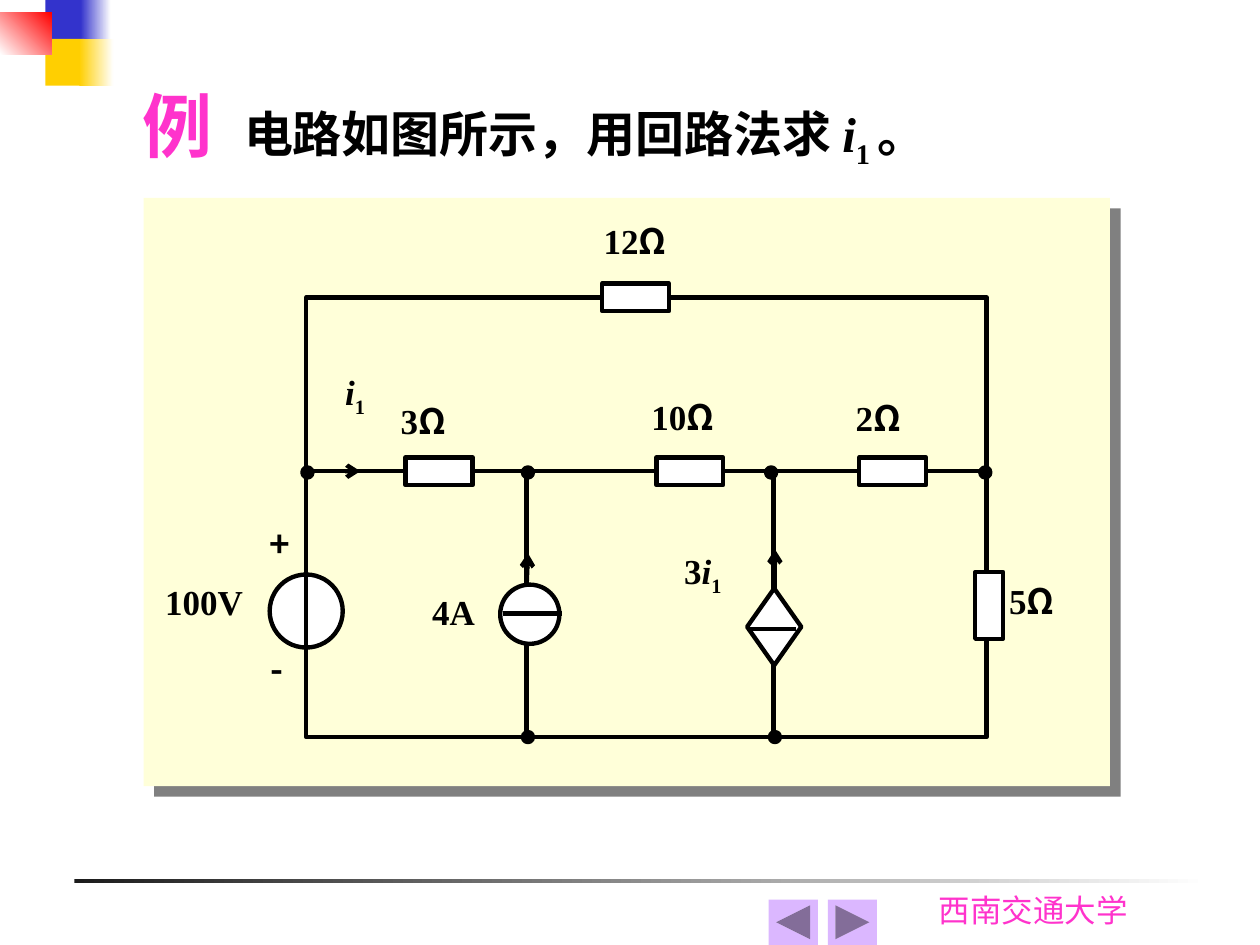
from dataclasses import dataclass
from lxml.etree import SubElement
from pptx import Presentation
from pptx.dml.color import RGBColor
from pptx.enum.shapes import MSO_CONNECTOR, MSO_SHAPE
from pptx.enum.text import MSO_ANCHOR, MSO_AUTO_SIZE, PP_ALIGN
from pptx.oxml.ns import qn
from pptx.util import Inches, Pt


@dataclass(frozen=True)
class Theme:
    ink: str = "000000"
    paper: str = "FFFFFF"
    pink: str = "FF33CC"
    panel: str = "FFFFD9"
    shade: str = "808080"
    blue: str = "3333CC"
    yellow: str = "FFCF01"
    red: str = "FF0000"
    rule: str = "1C1C1C"
    button: str = "DBB7FF"
    serif: str = "Times New Roman"
    sans: str = "Noto Sans CJK SC"
    footer_font: str = "Karla"
    example_size: int = 40
    title_size: int = 28
    label_size: int = 20
    footer_size: int = 18
    stroke: float = 2.5


theme = Theme()


def add_block(geometry, box, fill=None, fade_to=None, angle=0, outlined=False):
    block = slide.shapes.add_shape(geometry, *map(Inches, box))
    block.shadow.inherit = False
    if fade_to:
        block.fill.gradient()
        block.fill.gradient_angle = angle
        for stop, color in zip(block.fill.gradient_stops, (fill, fade_to)):
            stop.color.rgb = RGBColor.from_string(color)
    elif fill:
        block.fill.solid()
        block.fill.fore_color.rgb = RGBColor.from_string(fill)
    else:
        block.fill.background()
    if outlined:
        block.line.color.rgb = RGBColor.from_string(theme.ink)
        block.line.width = Pt(theme.stroke)
    else:
        block.line.fill.background()
    return block


def write_run(paragraph, text, face, size, color=theme.ink, bold=True, italic=False, subscript=False):
    run = paragraph.add_run()
    run.text = text
    run.font.name = face
    run.font.size = Pt(size)
    run.font.bold = bold
    run.font.italic = italic
    run.font.color.rgb = RGBColor.from_string(color)
    SubElement(run.font._element, qn("a:ea")).set("typeface", theme.sans)
    if subscript:
        run.font._element.set("baseline", "-25000")
    return run


prs = Presentation()
prs.slide_width, prs.slide_height = Inches(10), Inches(7.5)
slide = prs.slides.add_slide(prs.slide_layouts[5])

title = slide.shapes.title
title.left, title.top, title.width, title.height = map(Inches, (0.35, 0.6, 7.78, 0.8))
title.text_frame.auto_size = MSO_AUTO_SIZE.NONE
title.text_frame.vertical_anchor = MSO_ANCHOR.MIDDLE
heading = title.text_frame.paragraphs[0]
heading.alignment = PP_ALIGN.CENTER
example = write_run(heading, "例 ", theme.serif, theme.example_size, theme.pink)
example.font._element.set("spc", "450")
write_run(heading, "电路如图所示，用回路法求 ", theme.sans, theme.title_size)
write_run(heading, "i", theme.serif, theme.title_size, italic=True)
write_run(heading, "1 ", theme.serif, theme.title_size, subscript=True)
write_run(heading, "。", theme.sans, theme.title_size)

add_block(MSO_SHAPE.RECTANGLE, (0.59, 6.98, 9, 0.03), theme.rule, theme.paper)
for top, solid_width, fade_left, fade_width, color in (
    (0, 0.32, 0.64, 0.24, theme.blue),
    (0.31, 0.31, 0.63, 0.27, theme.yellow),
):
    add_block(MSO_SHAPE.RECTANGLE, (0.36, top, solid_width, 0.37), color)
    add_block(MSO_SHAPE.RECTANGLE, (fade_left, top, fade_width, 0.37), color, theme.paper)
add_block(MSO_SHAPE.RECTANGLE, (0, 0.1, 0.41, 0.33), theme.paper, theme.red, angle=45)

panel = add_block(MSO_SHAPE.RECTANGLE, (1.14, 1.57, 7.67, 4.67), theme.panel)
effects = panel._element.spPr.find(qn("a:effectLst"))
panel_shadow = SubElement(effects, qn("a:outerShdw"), dist=str(Pt(8.5)), dir="2700000", algn="ctr", rotWithShape="0")
SubElement(panel_shadow, qn("a:srgbClr"), val=theme.shade)

add_block(MSO_SHAPE.OVAL, (2.14, 4.56, 0.58, 0.58), theme.paper, outlined=True)
add_block(MSO_SHAPE.RECTANGLE, (2.43, 2.36, 5.4, 3.49), outlined=True)

wires = [
    (2.43, 3.74, 7.83, 3.74, False),
    (4.18, 3.74, 4.18, 5.85, False),
    (6.14, 3.74, 6.14, 5.85, False),
]
source_marks = [
    (2.61, 3.74, 2.86, 3.74, True),
    (3.99, 4.87, 4.46, 4.87, False),
    (4.18, 4.64, 4.19, 4.39, True),
    (6.32, 4.99, 5.94, 4.99, False),
    (6.15, 4.69, 6.15, 4.36, True),
]
for stage in (wires, source_marks):
    for x1, y1, x2, y2, arrow in stage:
        wire = slide.shapes.add_connector(MSO_CONNECTOR.STRAIGHT, *map(Inches, (x1, y1, x2, y2)))
        wire.line.color.rgb = RGBColor.from_string(theme.ink)
        wire.line.width = Pt(theme.stroke)
        if arrow:
            SubElement(wire.line._get_or_add_ln(), qn("a:tailEnd"), type="arrow")
        SubElement(wire._element.spPr, qn("a:effectLst"))
    if stage is wires:
        add_block(MSO_SHAPE.OVAL, (3.97, 4.64, 0.47, 0.47), theme.paper, outlined=True)
        add_block(MSO_SHAPE.DIAMOND, (5.93, 4.67, 0.43, 0.61), theme.paper, outlined=True)

for left, top in ((4.78, 2.25), (3.22, 3.63), (5.21, 3.63), (6.82, 3.63)):
    add_block(MSO_SHAPE.RECTANGLE, (left, top, 0.53, 0.22), theme.paper, outlined=True)
add_block(MSO_SHAPE.RECTANGLE, (7.74, 4.54, 0.22, 0.53), theme.paper, outlined=True)

for left, top in ((2.4, 3.71), (4.15, 3.71), (6.08, 3.71), (7.78, 3.71), (4.15, 5.81), (6.11, 5.81)):
    add_block(MSO_SHAPE.OVAL, (left, top, 0.08, 0.08), theme.ink, outlined=True)

plain = {"face": theme.serif}
symbol = {"face": theme.sans}
variable = {"face": theme.serif, "italic": True}
index = {"face": theme.serif, "subscript": True}
labels = [
    ((2.14, 4.15, 0.36, 0.5), [("+", symbol)]),
    ((2.15, 5.14, 0.36, 0.5), [("-", symbol)]),
    ((1.31, 4.61, 0.82, 0.6), [("100V", plain)]),
    ((3.43, 4.69, 0.67, 0.5), [("4A", plain)]),
    ((2.74, 2.94, 0.44, 0.81), [("i", variable), ("1", index)]),
    ((5.43, 4.36, 0.56, 0.81), [("3", plain), ("i", variable), ("1", index)]),
]
for left, top, ohms in (
    (4.79, 1.74, "12"), (3.18, 3.17, "3"), (5.17, 3.14, "10"), (6.79, 3.15, "2"), (8.01, 4.6, "5"),
):
    labels.append(((left, top, 0.67, 0.5), [(ohms, plain), ("Ω", symbol)]))

for box, pieces in labels:
    frame = slide.shapes.add_textbox(*map(Inches, box)).text_frame
    frame.word_wrap = True
    frame.margin_left = frame.margin_top = frame.margin_right = frame.margin_bottom = 0
    frame.paragraphs[0].alignment = PP_ALIGN.JUSTIFY
    for text, style in pieces:
        write_run(frame.paragraphs[0], text, size=theme.label_size, **style)

university = slide.shapes.add_textbox(*map(Inches, (7.35, 7.02, 1.81, 0.4))).text_frame
university.word_wrap = True
write_run(university.paragraphs[0], "西南交通大学", theme.footer_font, theme.footer_size, theme.pink, bold=False)

for geometry, left in (
    (MSO_SHAPE.ACTION_BUTTON_BACK_OR_PREVIOUS, 6.1),
    (MSO_SHAPE.ACTION_BUTTON_FORWARD_OR_NEXT, 6.57),
):
    add_block(geometry, (left, 7.14, 0.39, 0.36), theme.button)

prs.save("out.pptx")
